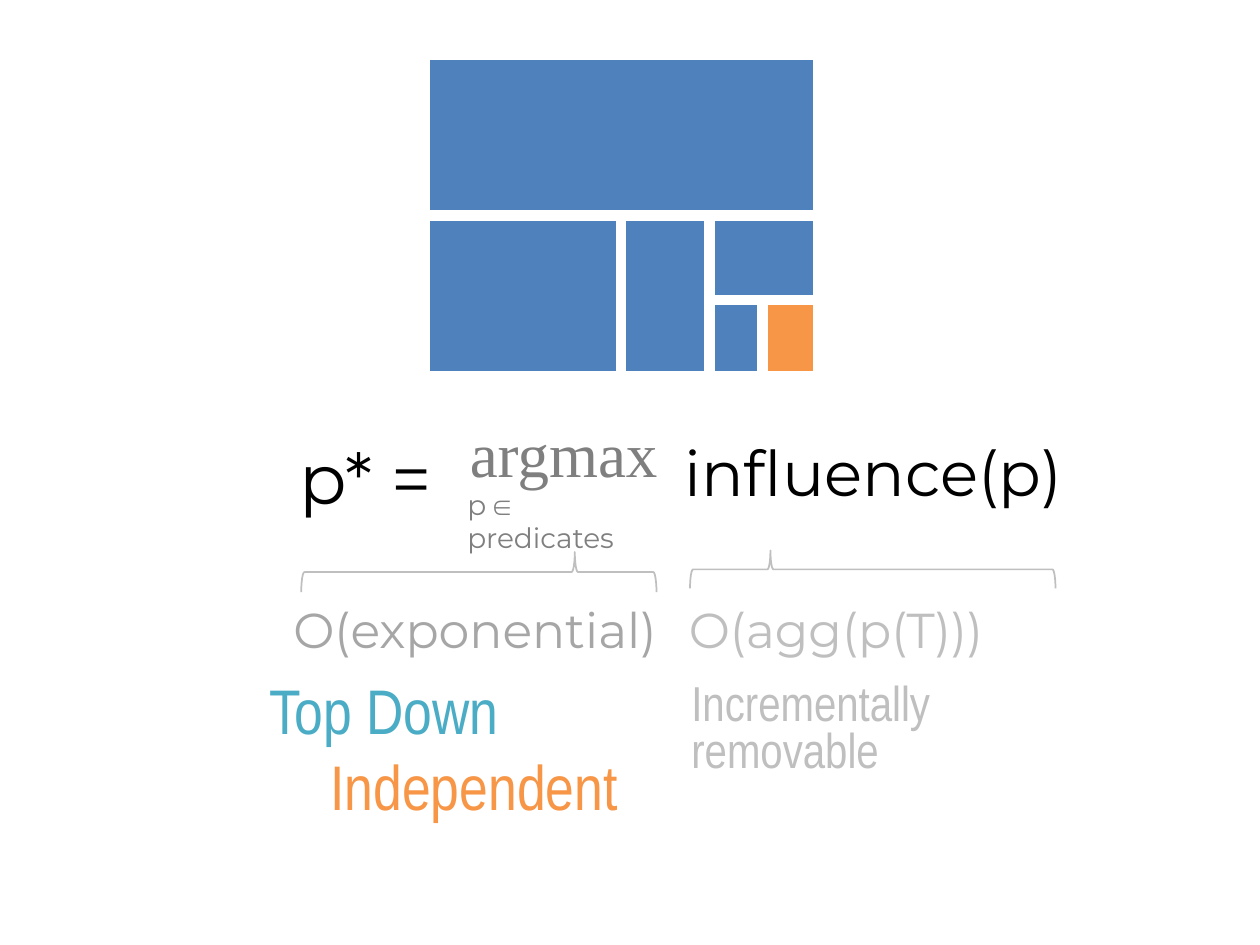
from dataclasses import dataclass

from lxml import etree
from pptx import Presentation
from pptx.dml.color import RGBColor
from pptx.enum.shapes import MSO_CONNECTOR, MSO_SHAPE
from pptx.enum.text import MSO_ANCHOR, PP_ALIGN
from pptx.oxml.ns import qn
from pptx.util import Pt

RECTANGLE = MSO_SHAPE.RECTANGLE
LEFT_BRACE = MSO_SHAPE.LEFT_BRACE
STRAIGHT = MSO_CONNECTOR.STRAIGHT
LEFT, CENTER = PP_ALIGN.LEFT, PP_ALIGN.CENTER
TOP, MIDDLE = MSO_ANCHOR.TOP, MSO_ANCHOR.MIDDLE

SANS, SERIF = "Montserrat", "Times New Roman"
NARROW, MONO = "Arial Narrow", "Courier New"
BLACK, WHITE = "000000", "FFFFFF"
DARK_GREY, GREY, LIGHT_GREY = "7F7F7F", "A6A6A6", "BFBFBF"
BLUE, ORANGE, TEAL = "4F81BD", "F79646", "4BACC6"


@dataclass
class Box:
    left: float
    top: float
    width: float
    height: float

    def lengths(self):
        return Pt(self.left), Pt(self.top), Pt(self.width), Pt(self.height)


@dataclass
class Words:
    text: str
    size: float
    color: str
    font: str = SANS


@dataclass
class Line:
    runs: list[Words]
    indent: float = 0
    align: PP_ALIGN = LEFT
    spacing: float = 1.0


@dataclass
class Label:
    box: Box
    lines: list[Line]
    anchor: MSO_ANCHOR = TOP


@dataclass
class Brace:
    box: Box
    tip: float


@dataclass
class Cut:
    x1: float
    y1: float
    x2: float
    y2: float


def rgb(color: str) -> RGBColor:
    return RGBColor.from_string(color)


def draw_label(slide, label: Label) -> None:
    frame = slide.shapes.add_textbox(*label.box.lengths()).text_frame
    frame.word_wrap = True
    frame.vertical_anchor = label.anchor
    for index, line in enumerate(label.lines):
        paragraph = frame.add_paragraph() if index else frame.paragraphs[0]
        paragraph.alignment = line.align
        paragraph.line_spacing = line.spacing
        if line.indent:
            paragraph._p.get_or_add_pPr().set("marL", str(Pt(line.indent)))
        for words in line.runs:
            run = paragraph.add_run()
            run.text = words.text
            run.font.size = Pt(words.size)
            run.font.name = words.font
            run.font.color.rgb = rgb(words.color)


def draw_block(slide, box: Box, color: str) -> None:
    block = slide.shapes.add_shape(RECTANGLE, *box.lengths())
    block.shadow.inherit = False
    block.fill.solid()
    block.fill.fore_color.rgb = rgb(color)
    block.line.color.rgb = rgb(WHITE)
    block.line.width = Pt(0.75)


def draw_brace(slide, brace: Brace) -> None:
    """Turn a left brace so it fills the box with its tip up; tip counts from the right."""
    box = brace.box
    upright = Box(box.left + (box.width - box.height) / 2,
                  box.top + (box.height - box.width) / 2,
                  box.height, box.width)
    shape = slide.shapes.add_shape(LEFT_BRACE, *upright.lengths())
    shape.rotation = 90
    shape.adjustments[0] = 0.08
    shape.adjustments[1] = brace.tip
    shape.shadow.inherit = False
    shape.fill.background()
    shape.line.color.rgb = rgb(LIGHT_GREY)
    shape.line.width = Pt(1)


def draw_cut(slide, cut: Cut) -> None:
    line = slide.shapes.add_connector(STRAIGHT, Pt(cut.x1), Pt(cut.y1), Pt(cut.x2), Pt(cut.y2))
    line.line.color.rgb = rgb(WHITE)
    line.line.width = Pt(6)
    etree.SubElement(line._element.spPr, qn("a:effectLst"))


LABELS = [
    Label(Box(375, 227, 248, 85),
          [Line([Words("influence(p)", 36, BLACK)], align=CENTER)], MIDDLE),
    Label(Box(261.4, 233.3, 130, 51), [Line([Words("argmax", 36, DARK_GREY, SERIF)])]),
    Label(Box(260, 275, 108, 46),
          [Line([Words("p ", 16, DARK_GREY), Words("∈ ", 16, DARK_GREY, MONO),
                 Words("predicates", 16, DARK_GREY)])]),
    Label(Box(164.2, 244.8, 95, 55.4), [Line([Words("p* =", 40, BLACK)])]),
    Label(Box(0.7, 380.2, 376.6, 94),
          [Line([Words("Top Down", 36, TEAL, NARROW)], indent=146),
           Line([Words("Independent", 36, ORANGE, NARROW)], indent=181)]),
    Label(Box(388, 387.4, 208.8, 62.6),
          [Line([Words("Incrementally removable", 28, LIGHT_GREY, NARROW)], spacing=0.8)]),
    Label(Box(386.6, 339.1, 203, 41), [Line([Words("O(agg(p(T)))", 28, LIGHT_GREY)])]),
    Label(Box(160.6, 339.1, 228, 41), [Line([Words("O(exponential)", 28, GREY)])]),
]

BRACES = [
    Brace(Box(394.3, 314.6, 208.8, 21.6), 0.78),
    Brace(Box(172.1, 315.4, 203, 23), 0.23),
]

# Edges of the partitioned space
X_LEFT, X_WIDE, X_NARROW, X_BEST, X_RIGHT = 245.5, 355, 405.4, 435.6, 465.1
Y_TOP, Y_HALF, Y_BEST, Y_BOTTOM = 33.8, 123.1, 171.4, 212.4

CUTS = [
    Cut(X_LEFT, Y_HALF, X_RIGHT, Y_HALF),
    Cut(X_WIDE, Y_BOTTOM, X_WIDE, Y_HALF),
    Cut(X_NARROW, Y_BOTTOM, X_NARROW, Y_HALF),
    Cut(X_RIGHT, Y_BEST, X_NARROW, Y_BEST),
    Cut(X_BEST, Y_BOTTOM, X_BEST, Y_BEST),
]


def main() -> None:
    deck = Presentation()
    deck.slide_width, deck.slide_height = Pt(720), Pt(540)
    slide = deck.slides.add_slide(deck.slide_layouts[6])
    for label in LABELS:
        draw_label(slide, label)
    for brace in BRACES:
        draw_brace(slide, brace)
    draw_block(slide, Box(X_LEFT, Y_TOP, X_RIGHT - X_LEFT, Y_BOTTOM - Y_TOP), BLUE)
    draw_block(slide, Box(X_BEST, Y_BEST, X_RIGHT - X_BEST, Y_BOTTOM - Y_BEST), ORANGE)
    for cut in CUTS:
        draw_cut(slide, cut)
    deck.save("out.pptx")


if __name__ == "__main__":
    main()
